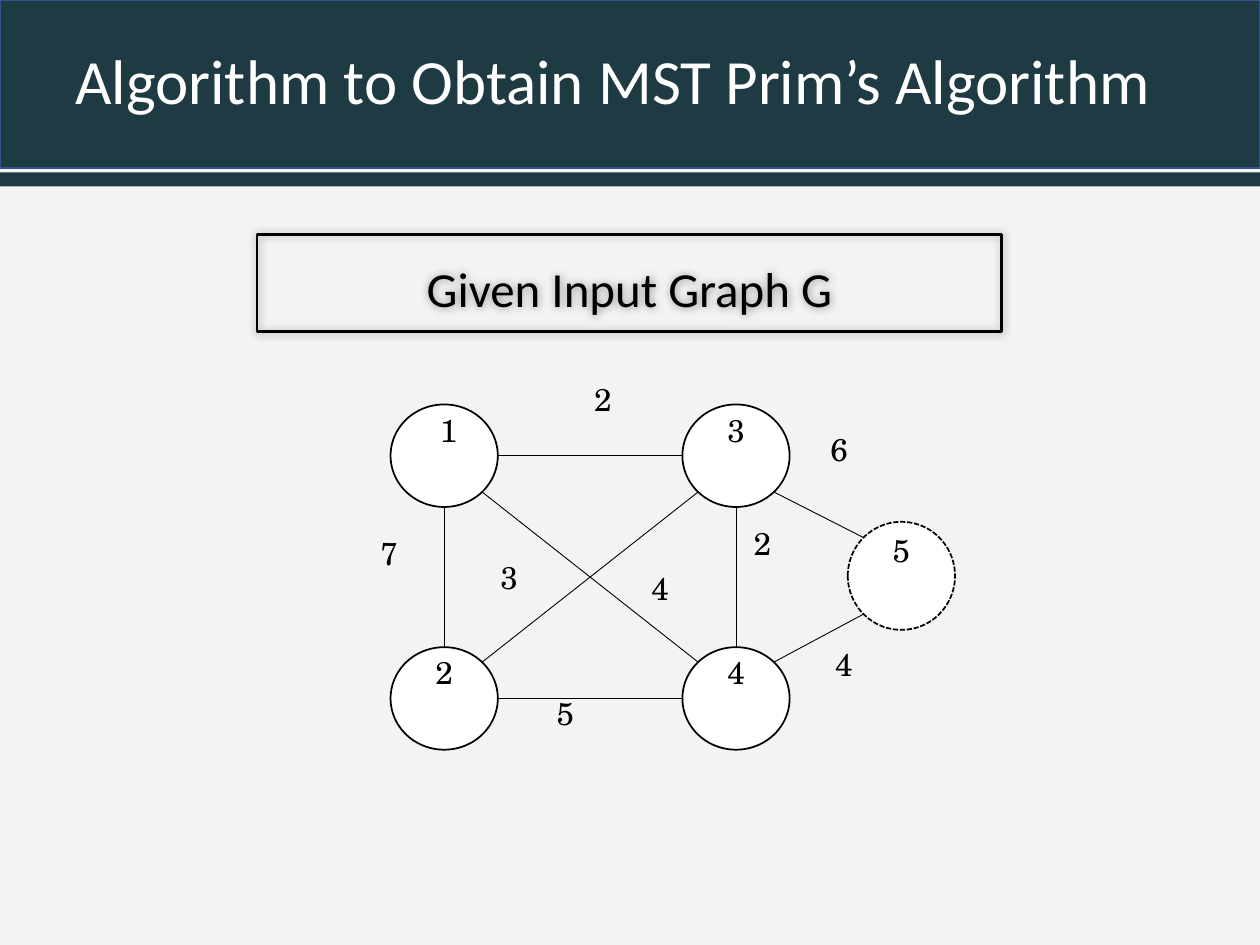
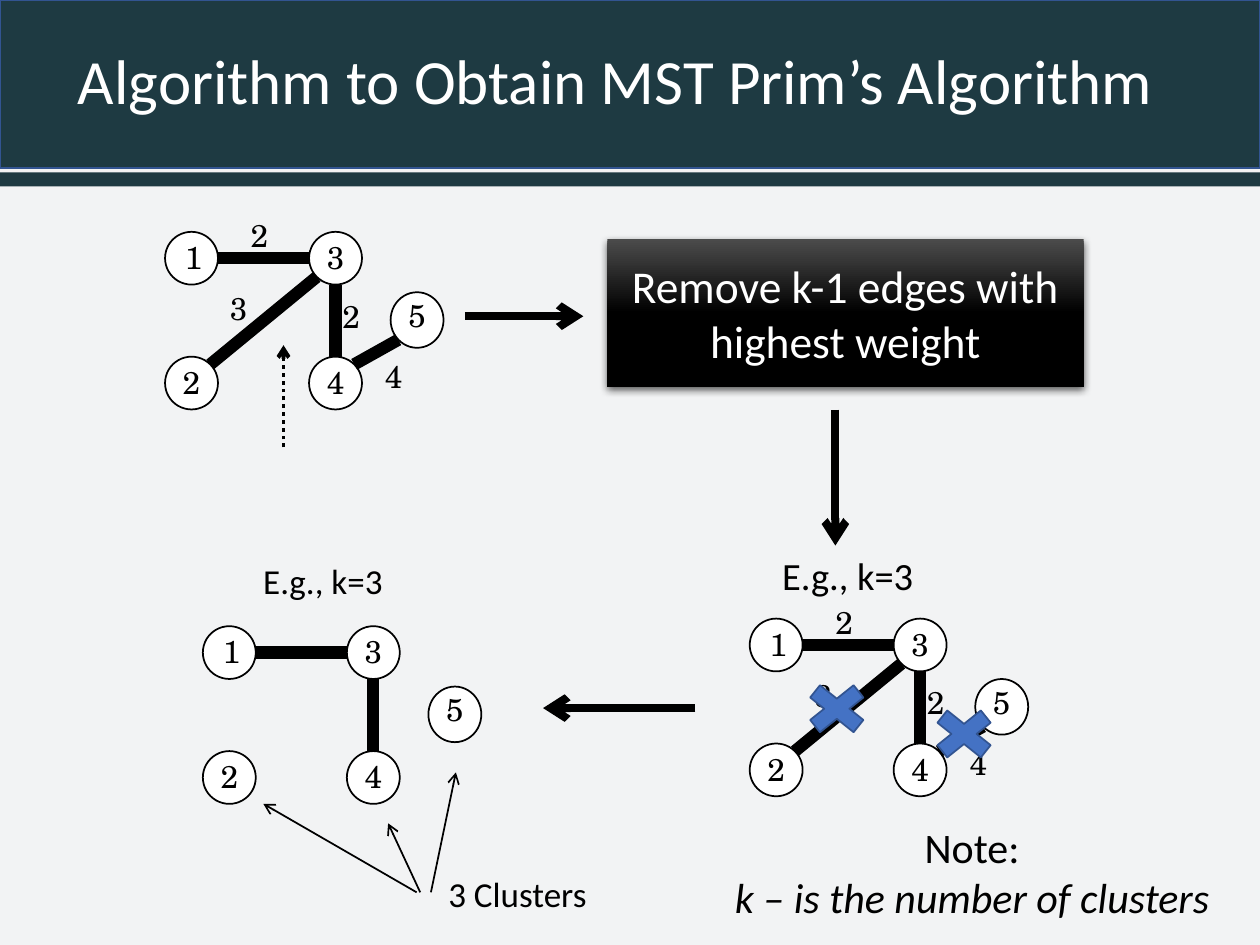
from collections import namedtuple
from lxml import etree
from pptx import Presentation
from pptx.dml.color import RGBColor
from pptx.enum.dml import MSO_LINE
from pptx.enum.shapes import MSO_CONNECTOR, MSO_SHAPE
from pptx.enum.text import MSO_ANCHOR, PP_ALIGN
from pptx.oxml.ns import qn
from pptx.util import Inches, Pt

RECT, OVAL, TIMES = MSO_SHAPE.RECTANGLE, MSO_SHAPE.OVAL, MSO_SHAPE.MATH_MULTIPLY
STRAIGHT = MSO_CONNECTOR.STRAIGHT
DASH, DOT = MSO_LINE.SQUARE_DOT, MSO_LINE.ROUND_DOT
LEFT, CENTER = PP_ALIGN.LEFT, PP_ALIGN.CENTER
TOP, MIDDLE = MSO_ANCHOR.TOP, MSO_ANCHOR.MIDDLE

TEAL, PALE, BLACK, WHITE = "1E3A42", "F2F3F4", "000000", "FFFFFF"
BLUE, NAVY, GREY = "4472C4", "325491", "4B4B4B"
SANS, SERIF = "Calibri", "TeX Gyre Schola"
TITLE = "Algorithm to Obtain MST Prim’s Algorithm"

# The slide is a grid of 100 columns by 75 rows.
UNIT = Inches(0.1)
COLS, ROWS = 100, 75
Box = namedtuple("Box", "left top width height")

# Node places as shares of a graph's box, and cells that give edge directions.
NODES = {
    1: (0, 0, 0.19, 0.297),
    3: (0.517, 0, 0.19, 0.297),
    2: (0, 0.703, 0.19, 0.297),
    4: (0.517, 0.703, 0.19, 0.297),
    5: (0.81, 0.34, 0.19, 0.313),
}
CELLS = {1: (0, 0), 3: (2, 0), 2: (0, 2), 4: (2, 2), 5: (3, 1)}
CHAIN = [(1, 3), (3, 4)]
TREE = CHAIN + [(3, 2), (4, 5)]
FULL = TREE + [(1, 2), (2, 4), (3, 5), (1, 4)]

# Weights: text, then left, top and width as shares, then alignment.
FULL_WEIGHTS = [
    ("2", 0.272, -0.088, 0.208, CENTER),
    ("3", 0.085, 0.427, 0.25, CENTER),
    ("2", 0.547, 0.328, 0.223, CENTER),
    ("4", 0.699, 0.679, 0.208, CENTER),
    ("6", 0.705, 0.055, 0.179, CENTER),
    ("5", 0.272, 0.821, 0.208, LEFT),
    ("7", -0.04, 0.358, 0.127, LEFT),
    ("4", 0.44, 0.46, 0.1, LEFT),
]
TREE_WEIGHTS = [
    ("2", 0.235, -0.125, 0.208, CENTER),
    ("3", 0.14, 0.287, 0.249, CENTER),
    ("2", 0.557, 0.33, 0.222, CENTER),
    ("4", 0.717, 0.67, 0.208, CENTER),
]


def color(value):
    return RGBColor.from_string(value)


def part(box, x, y, w, h):
    """Box at the given shares of another box."""
    return Box(box.left + x * box.width, box.top + y * box.height,
               w * box.width, h * box.height)


def spot(box, x, y):
    return part(box, x, y, 0, 0)[:2]


def grid(values):
    return [round(value * UNIT) for value in values]


def shape(slide, kind, box, fill=None, line=None, width=1):
    item = slide.shapes.add_shape(kind, *grid(box))
    item.shadow.inherit = False
    if fill:
        item.fill.solid()
        item.fill.fore_color.rgb = color(fill)
    else:
        item.fill.background()
    if line:
        item.line.color.rgb = color(line)
        item.line.width = Pt(width)
    else:
        item.line.fill.background()
    return item


def glow(item, alpha, blur, dist=0, angle=0):
    """Give a shape a soft black outer shadow."""
    effects = item._element.spPr.find(qn("a:effectLst"))
    shade = etree.SubElement(
        effects, qn("a:outerShdw"), blurRad=str(Pt(blur)), dist=str(Pt(dist)),
        dir=str(angle * 60000), algn="ctr", rotWithShape="0")
    tint = etree.SubElement(shade, qn("a:srgbClr"), val=BLACK)
    etree.SubElement(tint, qn("a:alpha"), val=str(alpha * 1000))


def write(item, lines, size, ink=BLACK, font=SANS, align=LEFT, anchor=TOP,
          wrap=True, space=None, slant=()):
    """Fill a shape with paragraphs; slant lists the italic ones."""
    frame = item.text_frame
    frame.word_wrap, frame.vertical_anchor = wrap, anchor
    for i, line in enumerate(lines):
        para = frame.paragraphs[0] if i == 0 else frame.add_paragraph()
        para.alignment = align
        if space:
            para.line_spacing = space
        run = para.add_run()
        run.text = line
        style = {"name": font, "size": Pt(size)}
        if i in slant:
            style["italic"] = True
        for key, value in style.items():
            setattr(run.font, key, value)
        run.font.color.rgb = color(ink)


def label(slide, box, lines, size, **style):
    item = slide.shapes.add_textbox(*grid(box))
    write(item, lines, size, **style)


def digit(slide, box, text, align=CENTER):
    label(slide, box, [text], 18, font=SERIF, align=align)


def link(slide, start, end, width, arrow=False, dash=None):
    item = slide.shapes.add_connector(STRAIGHT, *grid((*start, *end)))
    item.line.color.rgb = color(BLACK)
    item.line.width = Pt(width)
    if dash:
        item.line.dash_style = dash
    if arrow:
        etree.SubElement(item.line._get_or_add_ln(), qn("a:tailEnd"), type="arrow")
    etree.SubElement(item._element.spPr, qn("a:effectLst"))


def sign(value):
    return (value > 0) - (value < 0)


def rim(box, here, there):
    """Point on a node's rim, in the eighth of a turn facing another node."""
    dx, dy = (sign(b - a) for a, b in zip(CELLS[here], CELLS[there]))
    reach = 0.5 * (0.71 if dx and dy else 1)
    return spot(part(box, *NODES[here]), 0.5 + reach * dx, 0.5 + reach * dy)


def graph(slide, box, edges, weights=(), width=7, drop=-0.014, dashed=()):
    """Draw nodes, edges and weights; drop moves the label of node 5."""
    for node, place in NODES.items():
        item = shape(slide, OVAL, part(box, *place), WHITE, BLACK)
        if node in dashed:
            item.line.dash_style = DASH
    for node, (x, y, w, h) in NODES.items():
        shift = 0.008 if node == 1 else 0
        fall = drop if node == 5 else 0
        digit(slide, part(box, x + shift, y + fall, w, h), str(node))
    for a, b in edges:
        link(slide, rim(box, a, b), rim(box, b, a), width)
    for text, x, y, w, align in weights:
        digit(slide, part(box, x, y, w, 0.287), text, align)


def header(slide, box, left):
    shape(slide, RECT, part(box, 0, 0, 1, 0.9), TEAL, NAVY)
    shape(slide, RECT, part(box, 0, 0.925, 1, 0.075), TEAL)
    label(slide, part(box, left, 0, 1 - left, 0.9), [TITLE], 36,
          ink=WHITE, anchor=MIDDLE, space=0.9)


def banner(slide, box):
    item = shape(slide, RECT, box, line=BLACK, width=1.5)
    glow(item, 40, 5)
    write(item, ["Given Input Graph G"], 28, align=CENTER, anchor=MIDDLE, space=1.5)
    for side, inset in {"top": 0, "bottom": 0.16}.items():
        setattr(item.text_frame, f"margin_{side}", Inches(inset))


def step(slide, box):
    item = shape(slide, RECT, box, BLACK)
    item.fill.gradient()
    item.fill.gradient_angle = 270
    for stop, (place, tint) in zip(item.fill.gradient_stops, [(0, GREY), (0.5, BLACK)]):
        stop.position, stop.color.rgb = place, color(tint)
    glow(item, 63, 4.5, 1.5, 90)
    write(item, ["Remove k-1 edges with highest weight"], 26,
          ink=WHITE, align=CENTER, anchor=MIDDLE)


def cuts(slide, box):
    """Cross out the two heaviest edges of a tree."""
    for x, y in [(0.163, 0.319), (0.62, 0.461)]:
        shape(slide, TIMES, part(box, x, y, 0.3, 0.376), BLUE, NAVY)


def groups(slide, box):
    """Point from the cluster count to each cluster."""
    for tail, tip in [(0.43, (0, 0.21)), (0.44, (0.35, 0.34)), (0.47, (0.54, 0))]:
        link(slide, spot(box, tail, 0.8), spot(box, *tip), 1, arrow=True)
    label(slide, part(box, 0.484, 0.63, 0.516, 0.37), ["3 Clusters"], 20, wrap=False)


def flow(slide):
    """Arrows that lead from one stage to the next."""
    for start, end in [((36.9, 25.1), (46.3, 25.1)),
                       ((66.3, 32.5), (66.3, 43.3)),
                       ((55.2, 56.2), (43.1, 56.2))]:
        link(slide, start, end, 4.5, arrow=True)
    link(slide, (22.5, 35.5), (22.5, 27.4), 2.25, arrow=True, dash=DOT)


def start(deck, left):
    slide = deck.slides.add_slide(deck.slide_layouts[6])
    header(slide, Box(0, 0, COLS, 14.8), left)
    return slide


def given(deck):
    slide = start(deck, 0.05)
    graph(slide, Box(31, 32.1, 44.8, 27.4), FULL, FULL_WEIGHTS, 0.5, 0.01, dashed=[5])
    banner(slide, Box(20.4, 18.6, 59.1, 7.7))


def cluster(deck):
    slide = start(deck, 0.052)
    first, second, third = (Box(x, y, 22.1, 14.1) for x, y in
                            [(13.1, 18.4), (59.5, 49.1), (16.1, 49.7)])
    graph(slide, first, TREE, TREE_WEIGHTS)
    step(slide, Box(48.2, 19, 37.8, 11.7))
    flow(slide)
    label(slide, Box(53.9, 64.7, 46.5, 9.1), ["Note:", "k – is the number of clusters"],
          24, align=CENTER, slant=[1])
    label(slide, Box(61.1, 43.3, 12.8, 4.7), ["E.g., k=3"], 22, wrap=False)
    graph(slide, second, TREE, TREE_WEIGHTS)
    cuts(slide, second)
    label(slide, Box(19.9, 43.9, 11.8, 4.4), ["E.g., k=3"], 20, wrap=False)
    graph(slide, third, CHAIN)
    groups(slide, Box(20.9, 61.3, 28.3, 11.9))


def main():
    deck = Presentation()
    deck.slide_width, deck.slide_height = COLS * UNIT, ROWS * UNIT
    fill = deck.slide_master.background.fill
    fill.solid()
    fill.fore_color.rgb = color(PALE)
    given(deck)
    cluster(deck)
    deck.save("out.pptx")


if __name__ == "__main__":
    main()
